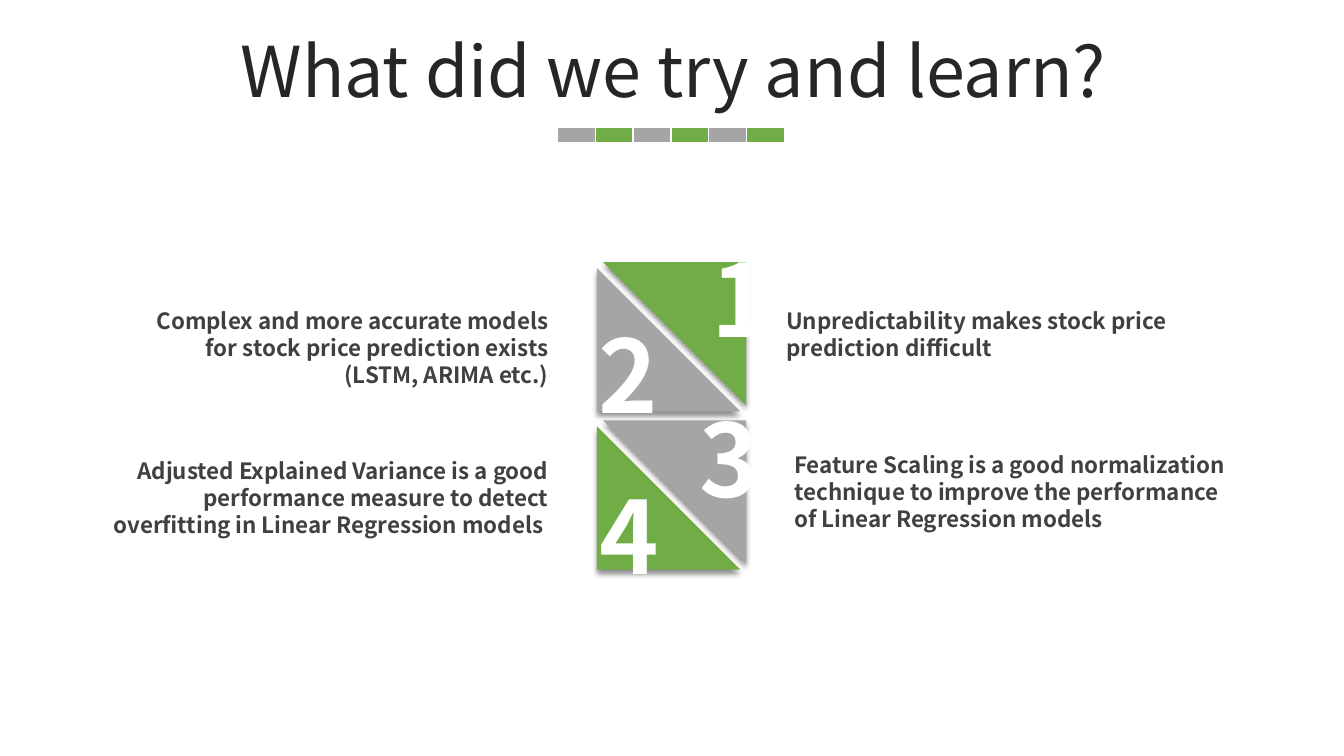
from dataclasses import dataclass
from lxml import etree
from pptx import Presentation, util as u
from pptx.dml import color
from pptx.enum import shapes, text
from pptx.oxml import ns

HUES = {"gray": "A5A5A5", "green": "70AD47", "white": "FFFFFF",
        "title": "262626", "body": "404040", "black": "000000"}
FACE = "Noto Sans CJK KR"
WIDE, HIGH = u.Inches(13.33), u.Inches(7.5)
COLS, ROWS = 133.3, 75
SIDE = 14.2
LEFT, RIGHT = text.PP_ALIGN.LEFT, text.PP_ALIGN.RIGHT
MID = text.PP_ALIGN.CENTER


@dataclass
class Box:
    col: float
    row: float
    wide: float
    high: float

    def span(self) -> tuple[int, ...]:
        dx, dy = WIDE / COLS, HIGH / ROWS
        return (round(self.col * dx), round(self.row * dy),
                round(self.wide * dx), round(self.high * dy))


@dataclass
class Style:
    size: float
    hue: str
    bold: bool
    inset: float = 0.1
    fit: text.MSO_AUTO_SIZE = text.MSO_AUTO_SIZE.SHAPE_TO_FIT_TEXT
    anchor: text.MSO_ANCHOR = text.MSO_ANCHOR.TOP
    space: float = 1.0


@dataclass
class Label:
    box: Box
    words: str
    side: text.PP_ALIGN
    style: Style


@dataclass
class Pair:
    row: float
    low: str
    top: str


HEAD = Style(50, "title", False, fit=text.MSO_AUTO_SIZE.NONE,
             anchor=text.MSO_ANCHOR.MIDDLE, space=0.8)
DIGIT = Style(72, "white", True, inset=0.12)
NOTE = Style(16, "body", True)

PAIRS = [Pair(26, "gray", "green"), Pair(41.7, "green", "gray")]
TITLE = Label(Box(3.5, 3.7, 126.6, 7.9), "What did we try and learn?", MID, HEAD)
SPOTS = [("2", 58.2, 30.5), ("3", 68.2, 38.9), ("4", 58.3, 46.5), ("1", 69.4, 23)]
DIGITS = [Label(Box(col, row, 6.7, 13.1), mark, MID, DIGIT) for mark, col, row in SPOTS]
NOTES = [
    Label(Box(8.4, 44.9, 47, 9.1), "Adjusted Explained Variance is a good performance measure "
          "to detect overfitting in Linear Regression models ", RIGHT, NOTE),
    Label(Box(13.8, 30, 41.6, 9.1), "Complex and more accurate models for stock price "
          "prediction exists (LSTM, ARIMA etc.)", RIGHT, NOTE),
    Label(Box(77, 30, 40.4, 6.4), "Unpredictability makes stock price prediction difficult",
          LEFT, NOTE),
    Label(Box(77.8, 44.3, 45.5, 9.1), "Feature Scaling is a good normalization technique "
          "to improve the performance of Linear Regression models", LEFT, NOTE),
]


def tint(name: str) -> color.RGBColor:
    return color.RGBColor.from_string(HUES[name])


def apply(item, form: dict) -> None:
    for key, val in form.items():
        setattr(item, key, val)


def block(group, kind: shapes.MSO_SHAPE, box: Box, hue: str):
    shape = group.shapes.add_shape(kind, *box.span())
    shape.shadow.inherit = False
    shape.fill.solid()
    shape.fill.fore_color.rgb = tint(hue)
    return shape


def shade(shape) -> None:
    glow = shape.element.spPr.find(ns.qn("a:effectLst"))
    drop = etree.SubElement(glow, ns.qn("a:outerShdw"), blurRad=str(u.Pt(4)),
                            dist=str(u.Pt(3)), dir="5400000", algn="t", rotWithShape="0")
    base = etree.SubElement(drop, ns.qn("a:srgbClr"), val=HUES["black"])
    etree.SubElement(base, ns.qn("a:alpha"), val="43000")


def strip(slide) -> None:
    group = slide.shapes.add_group_shape()
    for step in range(6):
        hue = ("gray", "green")[step % 2]
        tile = block(group, shapes.MSO_SHAPE.RECTANGLE,
                     Box(55.3 + 3.75 * step, 12.6, 3.75, 1.6), hue)
        tile.line.color.rgb = tint("white")
        tile.line.width = u.Pt(1)


def square(slide, pair: Pair) -> None:
    group = slide.shapes.add_group_shape()
    for col, row, hue, turn in ((59.2, pair.row + 0.6, pair.low, 0),
                                (59.8, pair.row, pair.top, 180)):
        half = block(group, shapes.MSO_SHAPE.RIGHT_TRIANGLE,
                     Box(col, row, SIDE, SIDE), hue)
        half.rotation = turn
        half.line.fill.background()
        shade(half)


def write(slide, label: Label) -> None:
    style = label.style
    frame = slide.shapes.add_textbox(*label.box.span()).text_frame
    edge = u.Inches(style.inset)
    apply(frame, {"word_wrap": True, "auto_size": style.fit,
                  "vertical_anchor": style.anchor,
                  "margin_left": edge, "margin_right": edge,
                  "margin_top": u.Inches(0.05), "margin_bottom": u.Inches(0.05)})
    para = frame.paragraphs[0]
    apply(para, {"alignment": label.side, "line_spacing": style.space})
    run = para.add_run()
    run.text = label.words
    apply(run.font, {"name": FACE, "size": u.Pt(style.size), "bold": style.bold})
    run.font.color.rgb = tint(style.hue)
    for tag in ("a:ea", "a:cs"):
        etree.SubElement(run.font._element, ns.qn(tag), typeface=FACE)


def main() -> None:
    deck = Presentation()
    apply(deck, {"slide_width": WIDE, "slide_height": HIGH})
    slide = deck.slides.add_slide(deck.slide_layouts[6])
    write(slide, TITLE)
    strip(slide)
    for pair in PAIRS:
        square(slide, pair)
    for label in DIGITS + NOTES:
        write(slide, label)
    deck.save("out.pptx")


if __name__ == "__main__":
    main()
